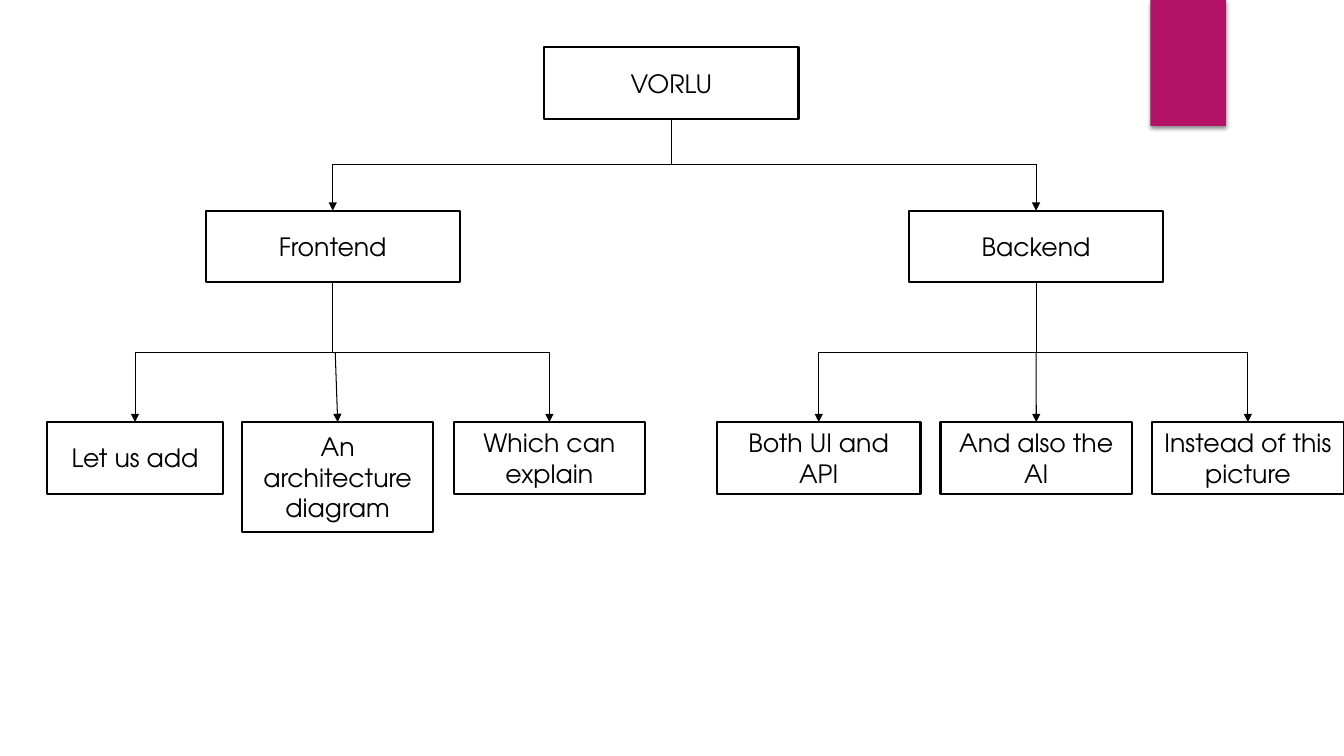
from dataclasses import dataclass

from lxml.etree import SubElement
from pptx import Presentation
from pptx.dml.color import RGBColor
from pptx.enum.shapes import MSO_CONNECTOR, MSO_SHAPE
from pptx.enum.text import MSO_ANCHOR, PP_ALIGN
from pptx.oxml.ns import qn
from pptx.util import Pt

# Content: text, left and width of each box; branches hold their leaves
ROOT = ("VORLU", 388.8, 181.6)
BRANCHES = [
    (("Frontend", 146.9, 181.6), [
        ("Let us add", 33.8, 125.3),
        ("An architecture diagram", 172.8, 136.8),
        ("Which can explain", 324, 136.8),
    ]),
    (("Backend", 649.3, 181.6), [
        ("Both UI and API", 512, 145.6),
        ("And also the AI", 671.8, 136.8),
        ("Instead of this picture", 823, 136.8),
    ]),
]
ROW_TOPS = (33.8, 150.5, 301.5)
BOX_HEIGHT = 51.2
TALL_HEIGHT = 78.5
TALL_BOXES = {"An architecture diagram"}
ACCENT_BAR = (821.7, 0, 54, 90)


@dataclass(frozen=True)
class Theme:
    font: str = "TeX Gyre Adventor"
    text_size: float = 18
    box_line: float = 1.5
    connector_line: float = 0.75
    ink: RGBColor = RGBColor(0, 0, 0)
    paper: RGBColor = RGBColor(255, 255, 255)
    accent: RGBColor = RGBColor(0xB3, 0x11, 0x66)


THEME = Theme()


def add_rectangle(slide, left, top, width, height, fill):
    shape = slide.shapes.add_shape(
        MSO_SHAPE.RECTANGLE, Pt(left), Pt(top), Pt(width), Pt(height))
    shape.shadow.inherit = False
    shape.fill.solid()
    shape.fill.fore_color.rgb = fill
    return shape


def add_accent_bar(slide):
    bar = add_rectangle(slide, *ACCENT_BAR, THEME.accent)
    bar.line.fill.background()
    effects = bar._element.spPr.find(qn("a:effectLst"))
    shadow = SubElement(effects, qn("a:outerShdw"), blurRad=str(Pt(3)),
                        dist=str(Pt(2)), dir="5400000", rotWithShape="0")
    color = SubElement(shadow, qn("a:srgbClr"), val=str(THEME.ink))
    SubElement(color, qn("a:alpha"), val="45000")


def add_box(slide, box, level):
    text, left, width = box
    height = TALL_HEIGHT if text in TALL_BOXES else BOX_HEIGHT
    shape = add_rectangle(slide, left, ROW_TOPS[level], width, height, THEME.paper)
    shape.line.color.rgb = THEME.ink
    shape.line.width = Pt(THEME.box_line)
    frame = shape.text_frame
    frame.word_wrap = True
    frame.vertical_anchor = MSO_ANCHOR.MIDDLE
    paragraph = frame.paragraphs[0]
    paragraph.alignment = PP_ALIGN.CENTER
    run = paragraph.add_run()
    run.text = text
    run.font.name = THEME.font
    run.font.size = Pt(THEME.text_size)
    run.font.color.rgb = THEME.ink
    return shape


def add_arrow(slide, kind, start, end):
    connector = slide.shapes.add_connector(
        kind, *(Pt(value) for value in (*start, *end)))
    connector.line.color.rgb = THEME.ink
    connector.line.width = Pt(THEME.connector_line)
    SubElement(connector.line._get_or_add_ln(), qn("a:tailEnd"), type="triangle")
    SubElement(connector._element.spPr, qn("a:effectLst"))
    return connector


def center(box):
    return box[1] + box[2] / 2


def add_elbow(slide, parent, child, level):
    """Down, across and down: a sideways elbow turned by a quarter."""
    start_x, end_x = center(parent), center(child)
    start_y, end_y = ROW_TOPS[level] + BOX_HEIGHT, ROW_TOPS[level + 1]
    middle_x, middle_y = (start_x + end_x) / 2, (start_y + end_y) / 2
    half_drop, half_span = (end_y - start_y) / 2, abs(end_x - start_x) / 2
    side = 1 if end_x > start_x else -1
    connector = add_arrow(
        slide, MSO_CONNECTOR.ELBOW,
        (middle_x + side * half_drop, middle_y - half_span),
        (middle_x - side * half_drop, middle_y + half_span))
    quarter_turns = 3 if side > 0 else 1
    connector._element.spPr.find(qn("a:xfrm")).set("rot", str(quarter_turns * 5400000))


def add_middle_arrow(slide, parent, child, child_shape, level):
    """From the horizontal bar straight to the middle child."""
    bar_y = (ROW_TOPS[level] + BOX_HEIGHT + ROW_TOPS[level + 1]) / 2
    start_x = (center(parent) + center(child)) / 2
    connector = add_arrow(slide, MSO_CONNECTOR.STRAIGHT, (start_x, bar_y),
                          (center(child), ROW_TOPS[level + 1]))
    connector.end_connect(child_shape, 0)


def main():
    presentation = Presentation()
    presentation.slide_width, presentation.slide_height = Pt(960), Pt(540)
    slide = presentation.slides.add_slide(presentation.slide_layouts[6])

    add_accent_bar(slide)

    # Root, branches and leaves with their arrows
    add_box(slide, ROOT, 0)
    for branch, leaves in BRANCHES:
        add_box(slide, branch, 1)
        add_elbow(slide, ROOT, branch, 0)
        for index, leaf in enumerate(leaves):
            leaf_shape = add_box(slide, leaf, 2)
            if index == len(leaves) // 2:
                add_middle_arrow(slide, branch, leaf, leaf_shape, 1)
            else:
                add_elbow(slide, branch, leaf, 1)

    presentation.save("out.pptx")


if __name__ == "__main__":
    main()
